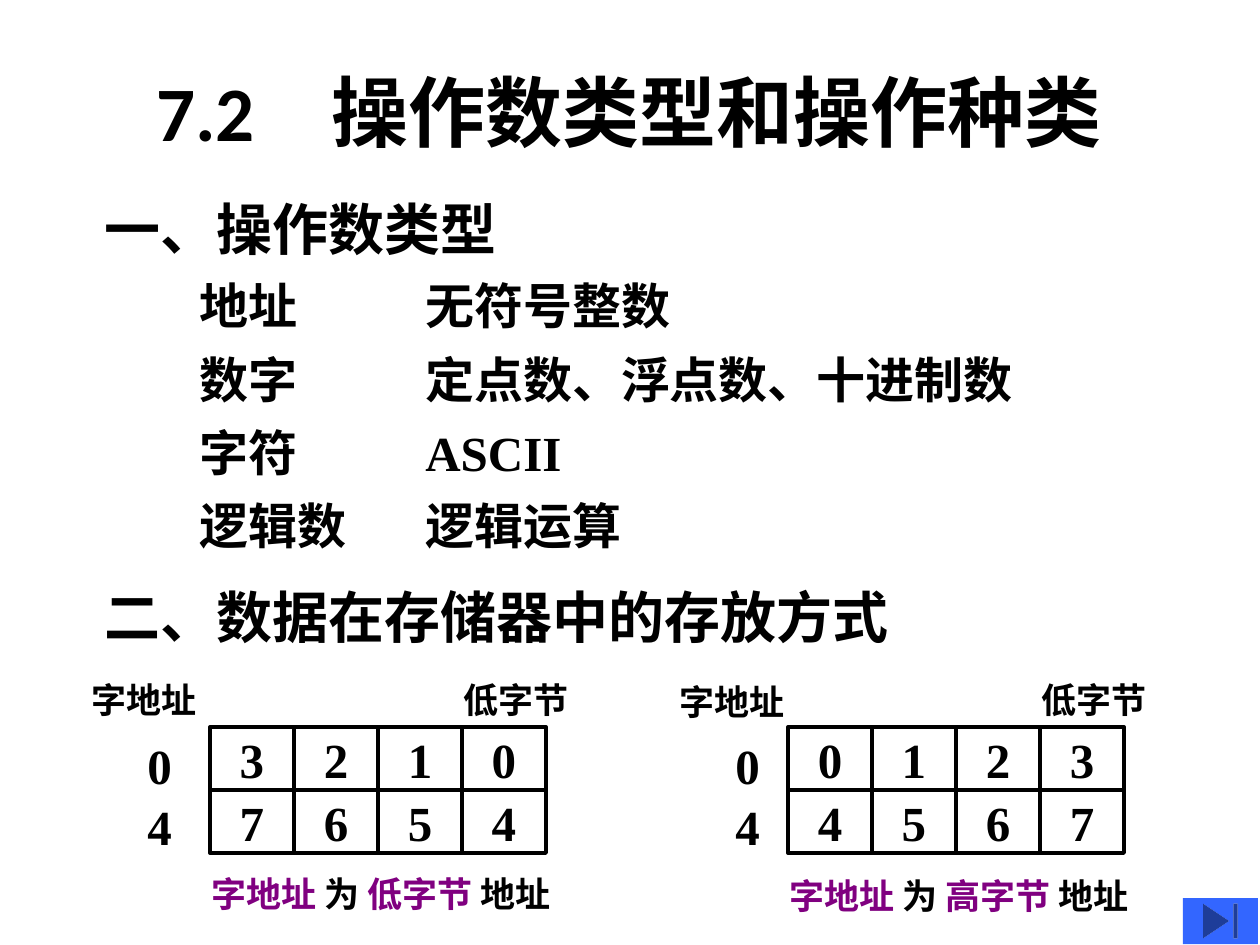
from pptx import Presentation
from pptx import util as u
from pptx.dml.color import RGBColor
from pptx.enum import shapes, text

BLACK = RGBColor(0x00, 0x00, 0x00)
PURPLE = RGBColor(0x80, 0x00, 0x80)
BLUE = RGBColor(0x33, 0x66, 0xFF)
PX = 914400 / 126
SERIF = "Times New Roman"


def box(*lengths):
    return [u.Emu(round(n * PX)) for n in lengths]


def add_text(x, y, w, h, size, lines, wrap=False):
    tf = s.shapes.add_textbox(*box(x, y, w, h)).text_frame
    tf.word_wrap = wrap
    tf.auto_size = text.MSO_AUTO_SIZE.SHAPE_TO_FIT_TEXT
    for i, runs in enumerate(lines):
        p = tf.paragraphs[0] if i == 0 else tf.add_paragraph()
        p.font.size = u.Pt(size)
        p.font.name = SERIF
        p.font.bold = True
        for words, color in runs:
            r = p.add_run()
            r.text = words
            r.font.color.rgb = color
    return tf


prs = Presentation()
prs.slide_width, prs.slide_height = box(1260, 945)
s = prs.slides.add_slide(prs.slide_layouts[5])

title = s.shapes.title
title.left, title.top, title.width, title.height = box(94, 32, 1071, 157)
title.text_frame.text = "7.2　操作数类型和操作种类"
title.text_frame.vertical_anchor = text.MSO_ANCHOR.MIDDLE
p = title.text_frame.paragraphs[0]
p.alignment = text.PP_ALIGN.CENTER
p.font.size = u.Pt(44)
p.font.name = "Calibri"
p.font.bold = True
p.font.color.rgb = BLACK

for heading, y, w in [("一、操作数类型", 188, 418), ("二、数据在存储器中的存放方式", 576, 813)]:
    add_text(92, y, w, 80, 32, [[(heading, BLACK)]])

operands = [
    ("地址", 123, "无符号整数", 271),
    ("数字", 123, "定点数、浮点数、十进制数", 616),
    ("字符", 123, "ASCII", 161),
    ("逻辑数", 173, "逻辑运算", 222),
]
for i, (kind, kind_w, detail, detail_w) in enumerate(operands):
    y = 269 + round(73.5 * i)
    add_text(187, y, kind_w, 72, 28, [[(kind, BLACK)]])
    add_text(413, y, detail_w, 72, 28, [[(detail, BLACK)]])

CELL_W, CELL_H, GRID_TOP = 84, 63, 727
memories = [
    (210, 79, 672, 451, ["3210", "7654"], "低字节", 199, 866, 388),
    (788, 667, 674, 1029, ["0123", "4567"], "高字节", 777, 868, 431),
]
for left, label_x, label_y, low_x, rows, end, note_x, note_y, note_w in memories:
    for row, digits in enumerate(rows):
        for col, digit in enumerate(digits):
            cell = s.shapes.add_shape(
                shapes.MSO_SHAPE.RECTANGLE,
                *box(left + col * CELL_W, GRID_TOP + row * CELL_H, CELL_W, CELL_H))
            cell.shadow.inherit = False
            cell.fill.background()
            cell.line.color.rgb = BLACK
            cell.line.width = u.Pt(2.25)
            tf = cell.text_frame
            tf.word_wrap = False
            tf.vertical_anchor = text.MSO_ANCHOR.MIDDLE
            p = tf.paragraphs[0]
            p.text = digit
            p.alignment = text.PP_ALIGN.CENTER
            p.font.size = u.Pt(28)
            p.font.name = SERIF
            p.font.bold = True
            p.font.color.rgb = BLACK
    add_text(label_x, label_y, 131, 54, 20, [[("字地址", BLACK)]])
    tf = add_text(label_x + 56, 726, 50, 130, 28, [[("0", BLACK)], [("4", BLACK)]])
    for p in tf.paragraphs:
        p.line_spacing = 1.05
    add_text(low_x, 672, 168, 54, 20, [[("低字节", BLACK)]], wrap=True)
    note = [("字地址 ", PURPLE), ("为", BLACK), (f" {end} ", PURPLE), ("地址", BLACK)]
    add_text(note_x, note_y, note_w, 54, 20, [note], wrap=True)

button = s.shapes.add_shape(shapes.MSO_SHAPE.ACTION_BUTTON_END, *box(1183, 898, 75, 46))
button.shadow.inherit = False
button.fill.solid()
button.fill.fore_color.rgb = BLUE
button.line.fill.background()

prs.save("out.pptx")
